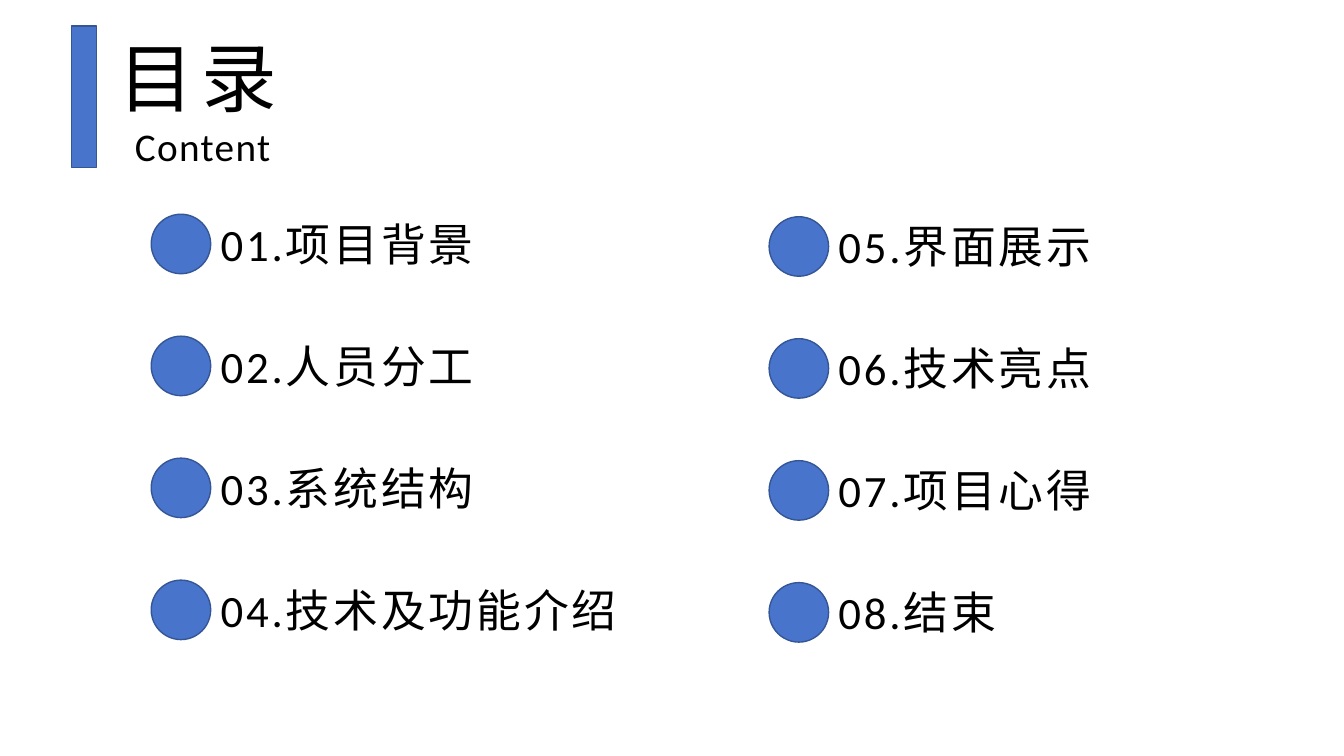
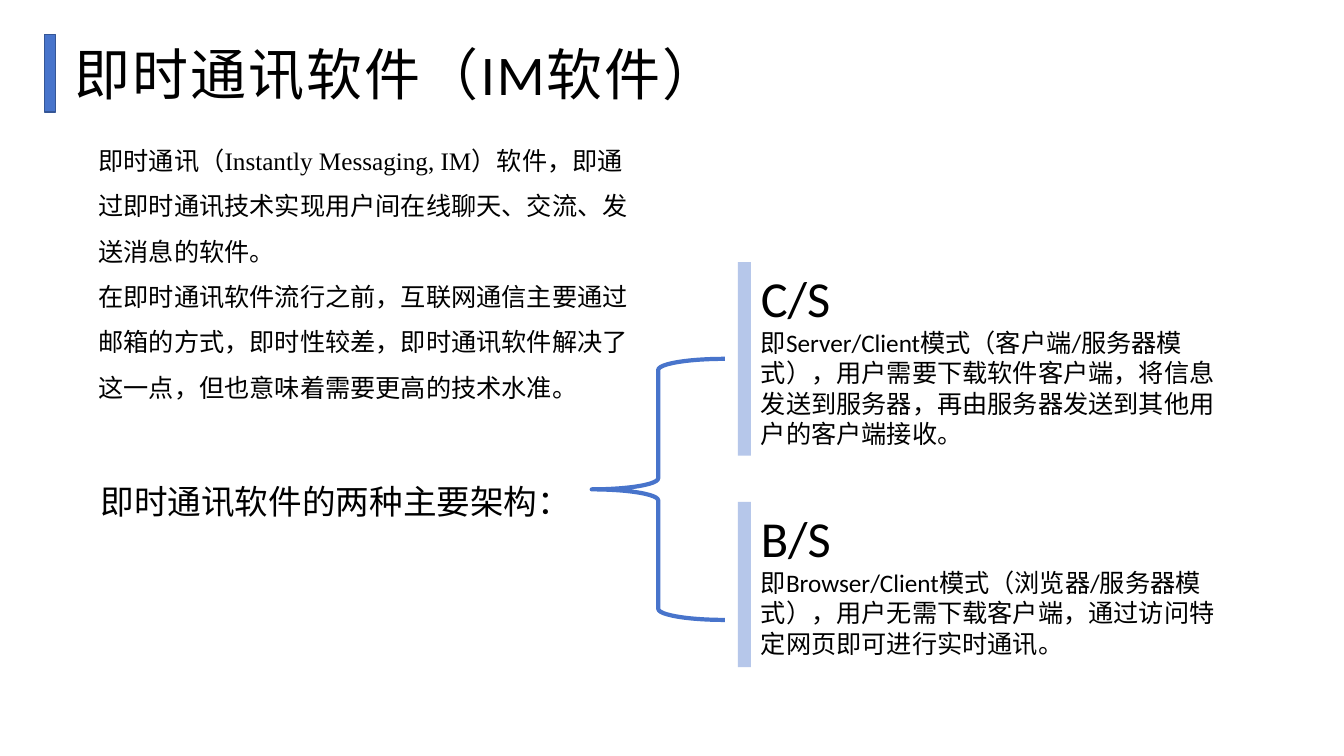
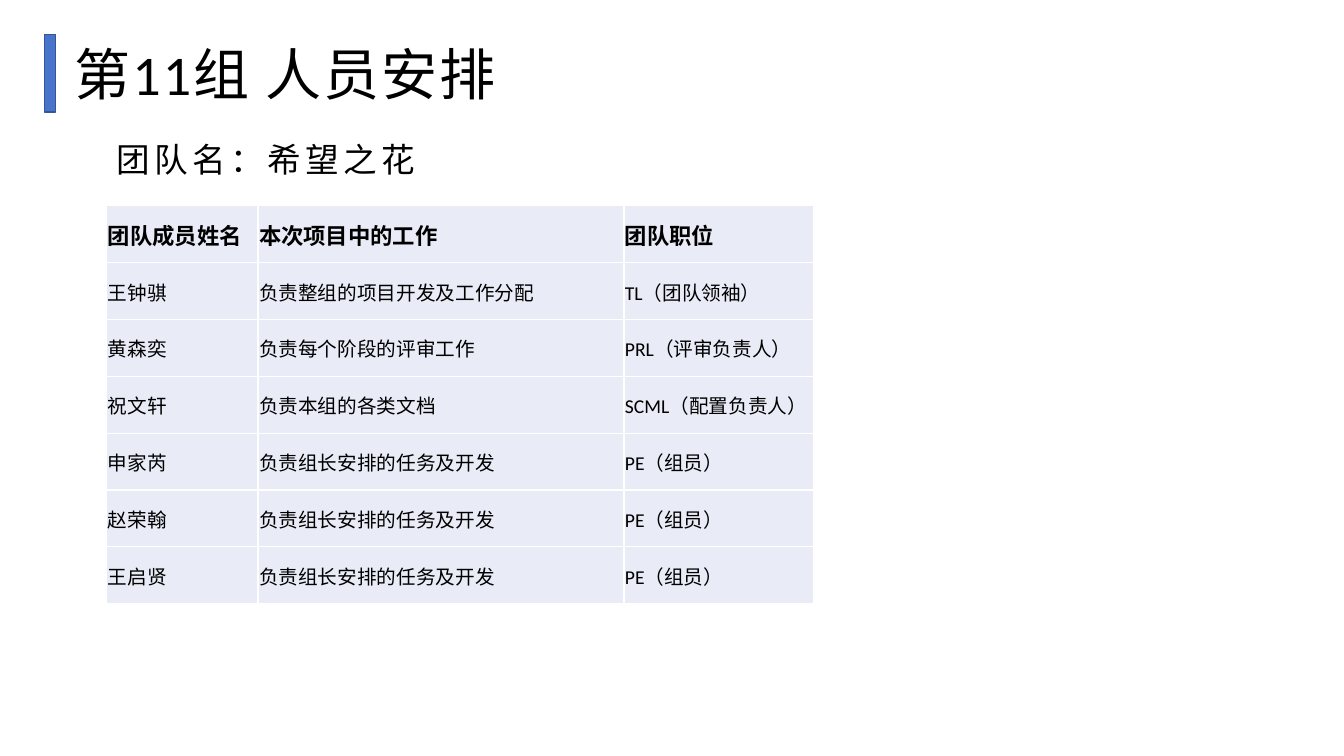
from dataclasses import dataclass

from lxml import etree
from pptx import Presentation
from pptx.dml.color import RGBColor
from pptx.enum.shapes import MSO_SHAPE
from pptx.enum.text import MSO_ANCHOR, MSO_AUTO_SIZE
from pptx.oxml.ns import qn
from pptx.util import Inches, Pt

RECTANGLE = MSO_SHAPE.RECTANGLE
OVAL = MSO_SHAPE.OVAL
LEFT_BRACE = MSO_SHAPE.LEFT_BRACE
MIDDLE = MSO_ANCHOR.MIDDLE
GROW = MSO_AUTO_SIZE.SHAPE_TO_FIT_TEXT

# Shared style
BLUE, DARK_BLUE, PALE_BLUE = "4874CB", "355696", "B6C7EA"
TABLE_FILL, BLACK, WHITE = "E9EBF6", "000000", "FFFFFF"
LATIN, CHINESE, SERIF = "Calibri", "Noto Sans CJK SC", "Times New Roman"

# The page is a grid of square cells; every box is (left, top, width, height) in cells
CELL = Inches(0.1)
PAGE_COLUMNS, PAGE_ROWS = 133.33, 75

CONTENTS = [
    ["01.项目背景", "02.人员分工", "03.系统结构", "04.技术及功能介绍"],
    ["05.界面展示", "06.技术亮点", "07.项目心得", "08.结束"],
]
INTRO_START, INTRO_NAME = "即时通讯（", "Instantly Messaging, IM"
INTRO_END = "）软件，即通过即时通讯技术实现用户间在线聊天、交流、发送消息的软件。"
HISTORY = ("在即时通讯软件流行之前，互联网通信主要通过邮箱的方式，即时性较差，"
           "即时通讯软件解决了这一点，但也意味着需要更高的技术水准。")
CLIENT_SERVER = ("即Server/Client模式（客户端/服务器模式），用户需要下载软件客户端，"
                 "将信息发送到服务器，再由服务器发送到其他用户的客户端接收。")
BROWSER_SERVER = ("即Browser/Client模式（浏览器/服务器模式），用户无需下载客户端，"
                  "通过访问特定网页即可进行实时通讯。")
MEMBER_TASK, MEMBER_ROLE = "负责组长安排的任务及开发", "PE（组员）"
TEAM = [
    ("团队成员姓名", "本次项目中的工作", "团队职位"),
    ("王钟骐", "负责整组的项目开发及工作分配", "TL（团队领袖）"),
    ("黄森奕", "负责每个阶段的评审工作", "PRL（评审负责人）"),
    ("祝文轩", "负责本组的各类文档", "SCML（配置负责人）"),
] + [(name, MEMBER_TASK, MEMBER_ROLE) for name in ("申家芮", "赵荣翰", "王启贤")]


@dataclass
class Line:
    """One paragraph: spans are (text, font) pairs."""
    spans: list
    size: float
    indent: float = 0
    tracking: float = 0
    spacing: float = 1


def plain(text, size, **style):
    return Line([(text, LATIN)], size, **style)


def color(value):
    return RGBColor.from_string(value)


def cells(*lengths):
    return [round(length * CELL) for length in lengths]


def format_span(span, size, font=LATIN, bold=False, tracking=0):
    span.font.size = Pt(size)
    span.font.name = font
    span.font.bold = bold
    span.font.color.rgb = color(BLACK)
    properties = span.font._element
    etree.SubElement(properties, qn("a:ea")).set("typeface", CHINESE)
    if tracking:
        properties.set("spc", str(round(tracking * 100)))


def add_text(shapes, box, lines):
    text_box = shapes.add_textbox(*cells(*box))
    frame = text_box.text_frame
    frame.word_wrap = True
    frame.auto_size = GROW
    for index, line in enumerate(lines):
        para = frame.add_paragraph() if index else frame.paragraphs[0]
        para.line_spacing = line.spacing
        if line.indent:
            properties = para._p.get_or_add_pPr()
            properties.set("marL", str(cells(line.indent)[0]))
            properties.set("indent", "0")
        for text, font in line.spans:
            span = para.add_run()
            span.text = text
            format_span(span, line.size, font, tracking=line.tracking)


def add_shape(shapes, kind, box, fill=None, outline=None, weight=1):
    shape = shapes.add_shape(kind, *cells(*box))
    shape.shadow.inherit = False
    if fill:
        shape.fill.solid()
        shape.fill.fore_color.rgb = color(fill)
    else:
        shape.fill.background()
    if outline:
        shape.line.color.rgb = color(outline)
        shape.line.width = Pt(weight)
    else:
        shape.line.fill.background()


def add_contents_heading(page, box):
    left, top, width, height = box
    bar = 2.5
    shapes = page.shapes.add_group_shape().shapes
    add_text(shapes, (left + bar, top, width - bar, height),
             [plain("目录", 54, indent=1.2, tracking=5),
              plain("Content", 28, indent=2.8, tracking=1)])
    add_shape(shapes, RECTANGLE, (left, top, bar, height - 0.8), BLUE, DARK_BLUE)


def add_contents_entry(page, box, label):
    left, top, width, height = box
    dot = 5.9
    shapes = page.shapes.add_group_shape().shapes
    add_shape(shapes, OVAL, (left, top + (height - dot) / 2, dot, dot), BLUE, DARK_BLUE)
    add_text(shapes, (left + dot, top, width - dot, height),
             [plain(label, 32, tracking=2)])


def add_heading(page, box, title):
    left, top, _, height = box
    add_text(page.shapes, box, [plain(title, 40, indent=2, tracking=1.5)])
    add_shape(page.shapes, RECTANGLE, (left, top, 1.1, height), BLUE, DARK_BLUE)


def add_architecture(page, box, name, description):
    left, top, width, height = box
    bar = 1.3
    add_text(page.shapes, (left + bar, top, width - bar, height),
             [plain(name, 36), plain(description, 18)])
    add_shape(page.shapes, RECTANGLE, (left, top, bar, height), PALE_BLUE)


def add_cell_borders(cell):
    properties = cell._tc.get_or_add_tcPr()
    for side in ("a:lnL", "a:lnR", "a:lnT", "a:lnB"):
        border = etree.SubElement(properties, qn(side), w=str(Pt(1)))
        fill = etree.SubElement(border, qn("a:solidFill"))
        etree.SubElement(fill, qn("a:srgbClr"), val=WHITE)


def add_team_table(page, box, rows, column_widths):
    table = page.shapes.add_table(len(rows), len(column_widths), *cells(*box)).table
    table.horz_banding = False
    for column, width in zip(table.columns, cells(*column_widths)):
        column.width = width
    for row_index, values in enumerate(rows):
        is_header = row_index == 0
        table.rows[row_index].height = cells(box[3] / len(rows))[0]
        for column_index, value in enumerate(values):
            cell = table.cell(row_index, column_index)
            add_cell_borders(cell)
            cell.fill.solid()
            cell.fill.fore_color.rgb = color(TABLE_FILL)
            cell.vertical_anchor = MIDDLE
            cell.margin_left = cell.margin_right = cell.margin_top = Inches(0.01)
            cell.margin_bottom = 0
            cell.text = value
            format_span(cell.text_frame.paragraphs[0].runs[0],
                        16 if is_header else 14,
                        CHINESE if is_header else LATIN, is_header)


def build_contents(page):
    add_contents_heading(page, (7.1, 2.6, 103.4, 14.8))
    # Two columns of entries, evenly spaced
    for column, labels in enumerate(CONTENTS):
        for row, label in enumerate(labels):
            width = 34.2 if len(label) < 9 else 49.2
            add_contents_entry(page, (15 + 61.3 * column, 21 + 0.25 * column + 12.1 * row,
                                      width, 6.4), label)


def build_architectures(page):
    add_heading(page, (4.4, 3.4, 71.6, 7.7), "即时通讯软件（IM软件）")
    # Introduction
    intro = [(INTRO_START, LATIN), (INTRO_NAME, SERIF), (INTRO_END, LATIN)]
    add_text(page.shapes, (8.8, 12.4, 56.4, 27.8),
             [Line(intro, 18, spacing=1.5), plain(HISTORY, 18, spacing=1.5)])
    add_text(page.shapes, (9, 47.2, 56.4, 5), [plain("即时通讯软件的两种主要架构：", 24)])
    # The two architectures, joined by a brace
    add_architecture(page, (73.2, 26, 48.3, 19.2), "C/S", CLIENT_SERVER)
    add_architecture(page, (73.2, 49.8, 48.3, 16.4), "B/S", BROWSER_SERVER)
    add_shape(page.shapes, LEFT_BRACE, (58.7, 35.6, 13.2, 25.9), outline=BLUE, weight=3)


def build_team(page):
    add_heading(page, (4.4, 3.4, 62.3, 7.7), "第11组 人员安排")
    add_text(page.shapes, (10.6, 13.3, 33.8, 5), [plain("团队名：希望之花", 24, tracking=3)])
    add_team_table(page, (10.6, 20.4, 70.1, 39.5), TEAM, (15, 36.3, 18.8))


def main():
    deck = Presentation()
    deck.slide_width, deck.slide_height = cells(PAGE_COLUMNS, PAGE_ROWS)
    blank = deck.slide_layouts[6]
    for build in (build_contents, build_architectures, build_team):
        build(deck.slides.add_slide(blank))
    deck.save("out.pptx")


if __name__ == "__main__":
    main()
